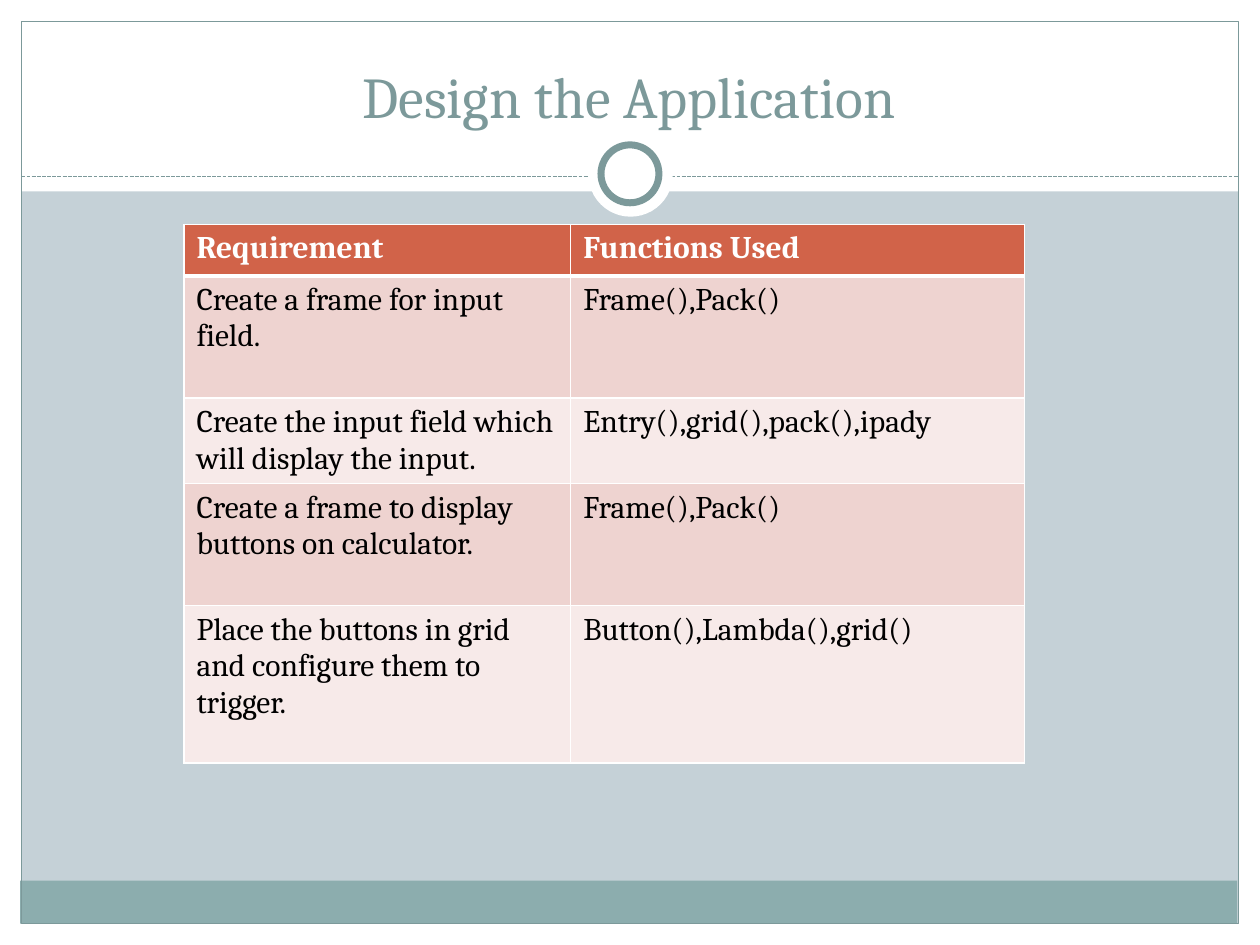
"""Build the slide that lists each calculator requirement and its functions."""
import dataclasses

import lxml.etree
import pptx
import pptx.dml.color
import pptx.enum.dml
import pptx.enum.shapes
import pptx.enum.text
import pptx.oxml.ns
import pptx.util

Inches = pptx.util.Inches
Pt = pptx.util.Pt
Kind = pptx.enum.shapes.MSO_SHAPE
FONT = "Cambria"
COLORS = {
    "white": "FFFFFF",
    "black": "000000",
    "back": "C5D1D7",
    "band": "8CADAE",
    "teal": "7C999A",
    "head": "D16349",
    "odd": "EED3D0",
    "even": "F7EAE9",
}


@dataclasses.dataclass
class Panel:
    left: float
    top: float
    width: float
    height: float
    fill: str | None = "white"
    line: str | None = None
    weight: float = 0.75
    kind: Kind = Kind.RECTANGLE


@dataclasses.dataclass
class Row:
    height: float
    need: str
    calls: str


PANELS = [
    Panel(0, 7.33, 10, 0.17),
    Panel(0, 0, 10, 1.52),
    Panel(0, 0, 0.17, 7.5),
    Panel(9.83, 0, 0.17, 7.5),
    Panel(0.16, 6.99, 9.66, 0.34, "band"),
    Panel(0.17, 0.17, 9.66, 7.16, None, "teal"),
]
RINGS = [
    Panel(4.67, 1.05, 0.67, 0.67, kind=Kind.OVAL),
    Panel(4.77, 1.15, 0.46, 0.46, line="teal", weight=4, kind=Kind.OVAL),
]
ROWS = [
    Row(0.41, "Requirement", "Functions Used"),
    Row(0.97, "Create a frame for input field.", "Frame(),Pack()"),
    Row(0.67, "Create the input field which will display the input.",
        "Entry(),grid(),pack(),ipady"),
    Row(0.97, "Create a frame to display buttons on calculator.", "Frame(),Pack()"),
    Row(1.25, "Place the buttons in grid and configure them to trigger.",
        "Button(),Lambda(),grid()"),
]


def color(name: str) -> pptx.dml.color.RGBColor:
    return pptx.dml.color.RGBColor.from_string(COLORS[name])


def paint(fill, name: str) -> None:
    fill.solid()
    fill.fore_color.rgb = color(name)


def style(frame, size: float, name: str, bold: bool = False) -> None:
    for run in frame.paragraphs[0].runs:
        run.font.name = FONT
        run.font.size = Pt(size)
        run.font.bold = bold
        run.font.color.rgb = color(name)


def draw_panel(slide, panel: Panel) -> None:
    box = (panel.left, panel.top, panel.width, panel.height)
    shape = slide.shapes.add_shape(panel.kind, *map(Inches, box))
    shape.shadow.inherit = False
    if panel.fill:
        paint(shape.fill, panel.fill)
    else:
        shape.fill.background()
    if panel.line:
        shape.line.color.rgb = color(panel.line)
        shape.line.width = Pt(panel.weight)
    else:
        shape.line.fill.background()


def draw_rule(slide) -> None:
    rule = slide.shapes.add_connector(
        pptx.enum.shapes.MSO_CONNECTOR.STRAIGHT,
        Inches(0.17), Inches(1.4), Inches(9.83), Inches(1.4))
    rule.line.color.rgb = color("teal")
    rule.line.width = Pt(0.75)
    rule.line.dash_style = pptx.enum.dml.MSO_LINE.SQUARE_DOT
    lxml.etree.SubElement(rule.element.spPr, pptx.oxml.ns.qn("a:effectLst"))


def draw_title(slide) -> None:
    title = slide.shapes.title
    title.left, title.top = Inches(0.33), Inches(0.25)
    title.width, title.height = Inches(9.33), Inches(0.83)
    frame = title.text_frame
    frame.text = "Design the Application"
    frame.vertical_anchor = pptx.enum.text.MSO_ANCHOR.BOTTOM
    frame.paragraphs[0].alignment = pptx.enum.text.PP_ALIGN.CENTER
    style(frame, 33, "teal")
    slide.shapes.element.append(title.element)


def edge_cell(cell, top: float, base: float) -> None:
    qn = pptx.oxml.ns.qn
    props = cell._tc.get_or_add_tcPr()
    for side, weight in zip("LRTB", (1, 1, top, base)):
        line = lxml.etree.SubElement(props, qn(f"a:ln{side}"), w=str(Pt(weight)))
        fill = lxml.etree.SubElement(line, qn("a:solidFill"))
        lxml.etree.SubElement(fill, qn("a:srgbClr"), val=COLORS["white"])


def draw_table(slide, rows: list[Row]) -> None:
    height = sum(row.height for row in rows)
    table = slide.shapes.add_table(
        len(rows), 2, Inches(1.46), Inches(1.78), Inches(6.67), Inches(height)).table
    for col, width in zip(table.columns, (3.07, 3.6)):
        col.width = Inches(width)
    for num, row in enumerate(rows):
        table.rows[num].height = Inches(row.height)
        head = num == 0
        fill = "head" if head else "odd" if num % 2 else "even"
        for col, text in enumerate((row.need, row.calls)):
            cell = table.cell(num, col)
            cell.text_frame.text = text
            style(cell.text_frame, 18, "white" if head else "black", head)
            edge_cell(cell, 3 if num == 1 else 1, 3 if head else 1)
            paint(cell.fill, fill)


def main() -> None:
    deck = pptx.Presentation()
    deck.slide_width, deck.slide_height = Inches(10), Inches(7.5)
    slide = deck.slides.add_slide(deck.slide_layouts[5])
    paint(slide.background.fill, "back")
    for panel in PANELS:
        draw_panel(slide, panel)
    draw_rule(slide)
    for ring in RINGS:
        draw_panel(slide, ring)
    draw_title(slide)
    draw_table(slide, ROWS)
    deck.save("out.pptx")


if __name__ == "__main__":
    main()
